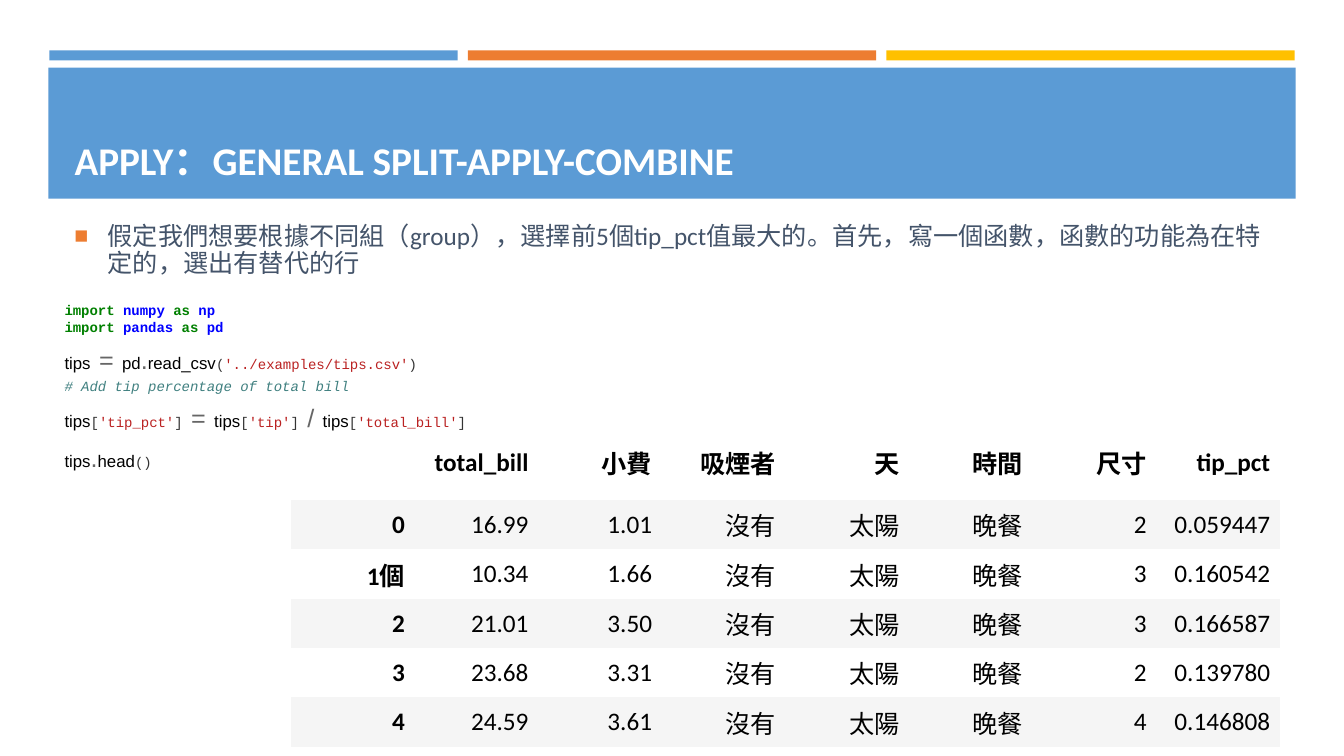
from pptx import Presentation
from pptx import util as u
from pptx.dml.color import RGBColor
from pptx.enum import shapes, text
from pptx.oxml import parse_xml
from pptx.oxml.ns import nsdecls, qn

BLUE, ORANGE, YELLOW = "5B9BD5", "ED7D31", "FFC000"
WHITE, GREY, BLACK, SLATE = "FFFFFF", "F5F5F5", "000000", "44546A"
NO_STYLE = "{2D5ABB26-0587-4C30-8999-92F81FD0307C}"

# Code style: font, size, colour, bold, italic
CODE_STYLES = {
    "keyword": ("Courier New", 10, "008000", True, False),
    "module": ("Courier New", 10, "0000FF", True, False),
    "name": ("Arial", 12, BLACK, False, False),
    "operator": ("Arial", 18, "666666", False, False),
    "mark": ("Courier New", 10, "333333", False, False),
    "string": ("Courier New", 10, "BA2121", False, False),
    "comment": ("Courier New", 10, "408080", False, True),
}

# Each block: left, top, width, height, space before later lines, lines of tokens
CODE_BLOCKS = [
    ((0.64, 2.99, 1.63, 0.34), 0, [
        [("import ", "keyword"), ("numpy ", "module"), ("as ", "keyword"), ("np", "module")],
        [("import ", "keyword"), ("pandas ", "module"), ("as ", "keyword"), ("pd", "module")],
    ]),
    ((0.64, 3.32, 6, 0.5), 0, [
        [("tips", "name"), (" ", "mark"), ("=", "operator"), (" ", "mark"), ("pd", "name"),
         (".", "operator"), ("read_csv", "name"), ("(", "mark"),
         ("'../examples/tips.csv'", "string"), (")", "mark")],
    ]),
    ((0.64, 3.74, 4.06, 0.56), 6, [
        [("# Add tip percentage of total bill", "comment")],
        [("tips", "name"), ("[", "mark"), ("'tip_pct'", "string"), ("] ", "mark"),
         ("=", "operator"), (" ", "mark"), ("tips", "name"), ("[", "mark"),
         ("'tip'", "string"), ("] ", "mark"), ("/", "operator"), (" ", "mark"),
         ("tips", "name"), ("[", "mark"), ("'total_bill'", "string"), ("]", "mark")],
    ]),
    ((0.64, 4.29, 2.2, 0.5), 0, [
        [("tips", "name"), (".", "operator"), ("head", "name"), ("()", "mark")],
    ]),
]

TIPS_ROWS = [
    ["", "total_bill", "小費", "吸煙者", "天", "時間", "尺寸", "tip_pct"],
    ["0", "16.99", "1.01", "沒有", "太陽", "晚餐", "2", "0.059447"],
    ["1個", "10.34", "1.66", "沒有", "太陽", "晚餐", "3", "0.160542"],
    ["2", "21.01", "3.50", "沒有", "太陽", "晚餐", "3", "0.166587"],
    ["3", "23.68", "3.31", "沒有", "太陽", "晚餐", "2", "0.139780"],
    ["4", "24.59", "3.61", "沒有", "太陽", "晚餐", "4", "0.146808"],
]


def color(value):
    return RGBColor.from_string(value)


def inches(*lengths):
    return [u.Inches(length) for length in lengths]


def add_run(paragraph, words, font, size, fill, bold=False, italic=False):
    run = paragraph.add_run()
    run.text = words
    run.font.name = font
    run.font.size = u.Pt(size)
    run.font.color.rgb = color(fill)
    run.font.bold = bold
    run.font.italic = italic


def add_bar(slide, box, fill):
    bar = slide.shapes.add_shape(shapes.MSO_SHAPE.RECTANGLE, *inches(*box))
    bar.shadow.inherit = False
    bar.fill.solid()
    bar.fill.fore_color.rgb = color(fill)
    bar.line.fill.background()


def set_title(slide, words):
    title = slide.shapes.title
    title.left, title.top, title.width, title.height = inches(0.64, 0.77, 12.06, 1.11)
    title.element.getparent().append(title.element)  # in front of the bars
    frame = title.text_frame
    frame.word_wrap = True
    frame.auto_size = text.MSO_AUTO_SIZE.NONE
    frame.vertical_anchor = text.MSO_ANCHOR.BOTTOM
    paragraph = frame.paragraphs[0]
    paragraph.alignment = text.PP_ALIGN.LEFT
    paragraph.line_spacing = 0.9
    add_run(paragraph, words, "Calibri", 28, WHITE, bold=True)


def add_text_frame(slide, box):
    frame = slide.shapes.add_textbox(*inches(*box)).text_frame
    frame.word_wrap = True
    frame.vertical_anchor = text.MSO_ANCHOR.MIDDLE
    return frame


def add_bullet_text(slide, box, words):
    paragraph = add_text_frame(slide, box).paragraphs[0]
    properties = paragraph._p.get_or_add_pPr()
    properties.set("marL", str(u.Inches(0.33)))
    properties.set("indent", str(-u.Inches(0.33)))
    for tag in (f'<a:buClr {nsdecls("a")}><a:srgbClr val="{ORANGE}"/></a:buClr>',
                f'<a:buSzPct {nsdecls("a")} val="92000"/>',
                f'<a:buFont {nsdecls("a")} typeface="Arial"/>',
                f'<a:buChar {nsdecls("a")} char="■"/>'):
        properties.append(parse_xml(tag))
    paragraph.line_spacing = 0.9
    paragraph.space_after = u.Pt(6)
    add_run(paragraph, words, "Calibri", 18, SLATE)


def add_code(slide, box, gap, lines):
    frame = add_text_frame(slide, box)
    frame.margin_left = frame.margin_right = frame.margin_top = frame.margin_bottom = 0
    for index, tokens in enumerate(lines):
        paragraph = frame.add_paragraph() if index else frame.paragraphs[0]
        if index:
            paragraph.space_before = u.Pt(gap)
        for words, style in tokens:
            add_run(paragraph, words, *CODE_STYLES[style])


def add_tips_table(slide, rows):
    """Right-aligned table with bold headings and grey odd rows."""
    table = slide.shapes.add_table(
        len(rows), len(rows[0]), *inches(2.89, 4.22, 9.81, 3.19)).table
    table._tbl.tblPr.find(qn("a:tableStyleId")).text = NO_STYLE
    table.horz_banding = False
    for index, values in enumerate(rows):
        table.rows[index].height = u.Inches(0.49 if index else 0.74)
        for column, value in enumerate(values):
            cell = table.cell(index, column)
            cell.fill.solid()
            cell.fill.fore_color.rgb = color(GREY if index % 2 else WHITE)
            cell.vertical_anchor = text.MSO_ANCHOR.MIDDLE
            paragraph = cell.text_frame.paragraphs[0]
            paragraph.alignment = text.PP_ALIGN.RIGHT
            if value:
                add_run(paragraph, value, "Calibri", 18, BLACK, bold=index == 0 or column == 0)


def main():
    presentation = Presentation()
    presentation.slide_width, presentation.slide_height = inches(13.33, 7.5)
    slide = presentation.slides.add_slide(presentation.slide_layouts[5])
    for index, fill in enumerate((BLUE, ORANGE, YELLOW)):
        add_bar(slide, (0.49 + 4.15 * index, 0.5, 4.05, 0.1), fill)
    add_bar(slide, (0.48, 0.67, 12.37, 1.3), BLUE)
    set_title(slide, "APPLY：GENERAL SPLIT-APPLY-COMBINE")
    add_bullet_text(
        slide, (0.64, 0.48, 12.06, 4.02),
        "假定我們想要根據不同組（group），選擇前5個tip_pct值最大的。"
        "首先，寫一個函數，函數的功能為在特定的，選出有替代的行")
    add_tips_table(slide, TIPS_ROWS)
    for box, gap, lines in CODE_BLOCKS:
        add_code(slide, box, gap, lines)
    presentation.save("out.pptx")


if __name__ == "__main__":
    main()
